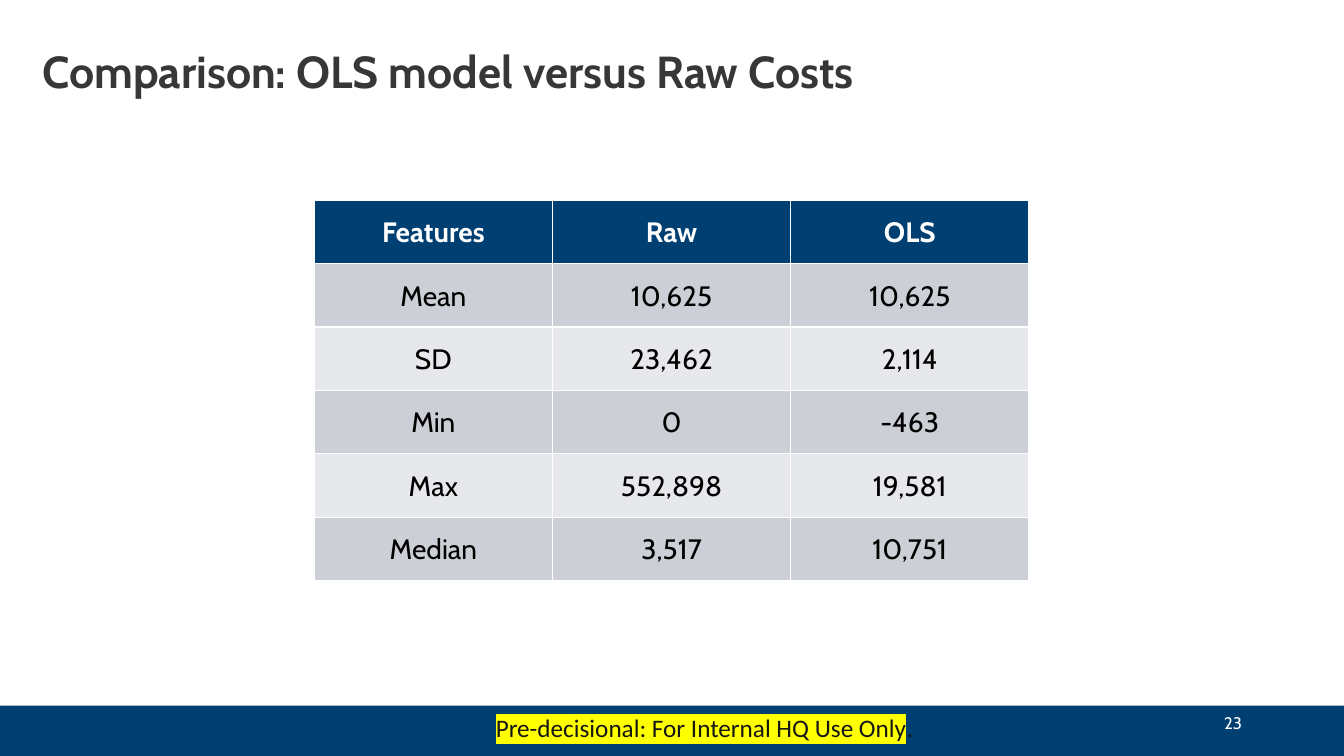
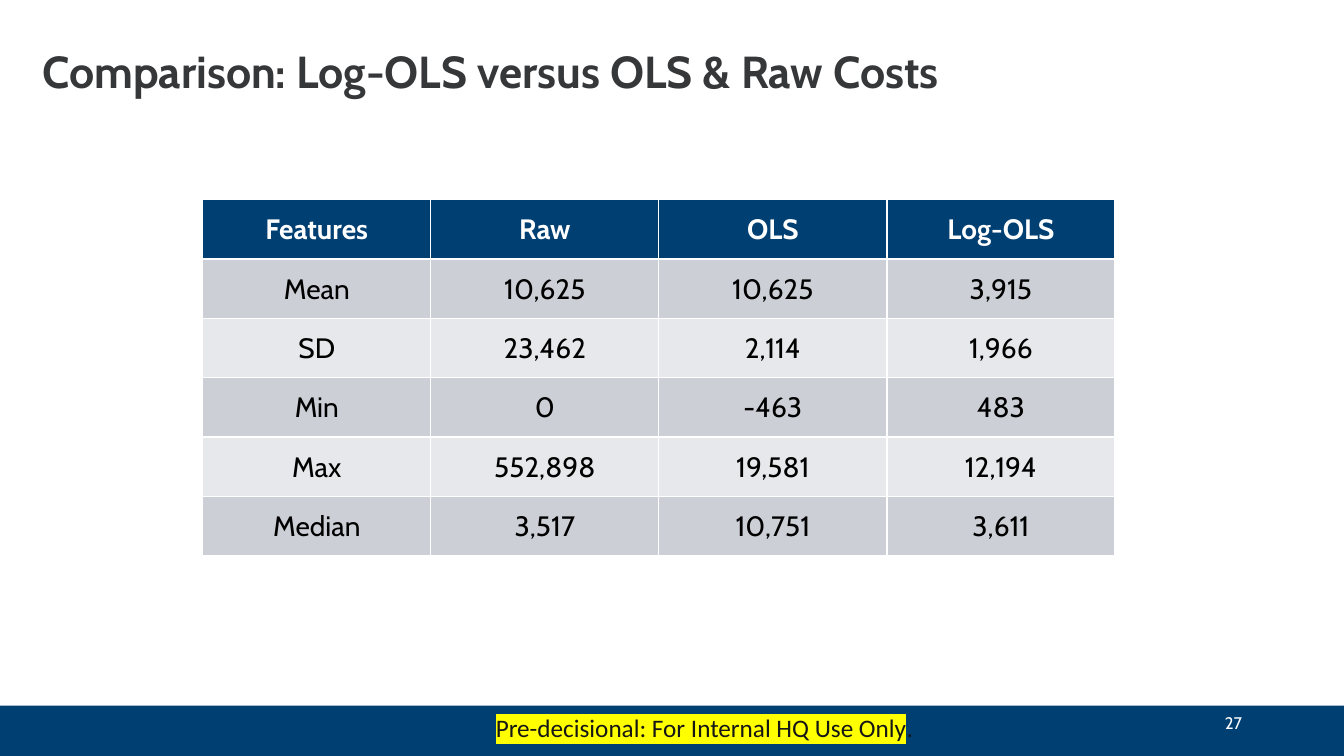
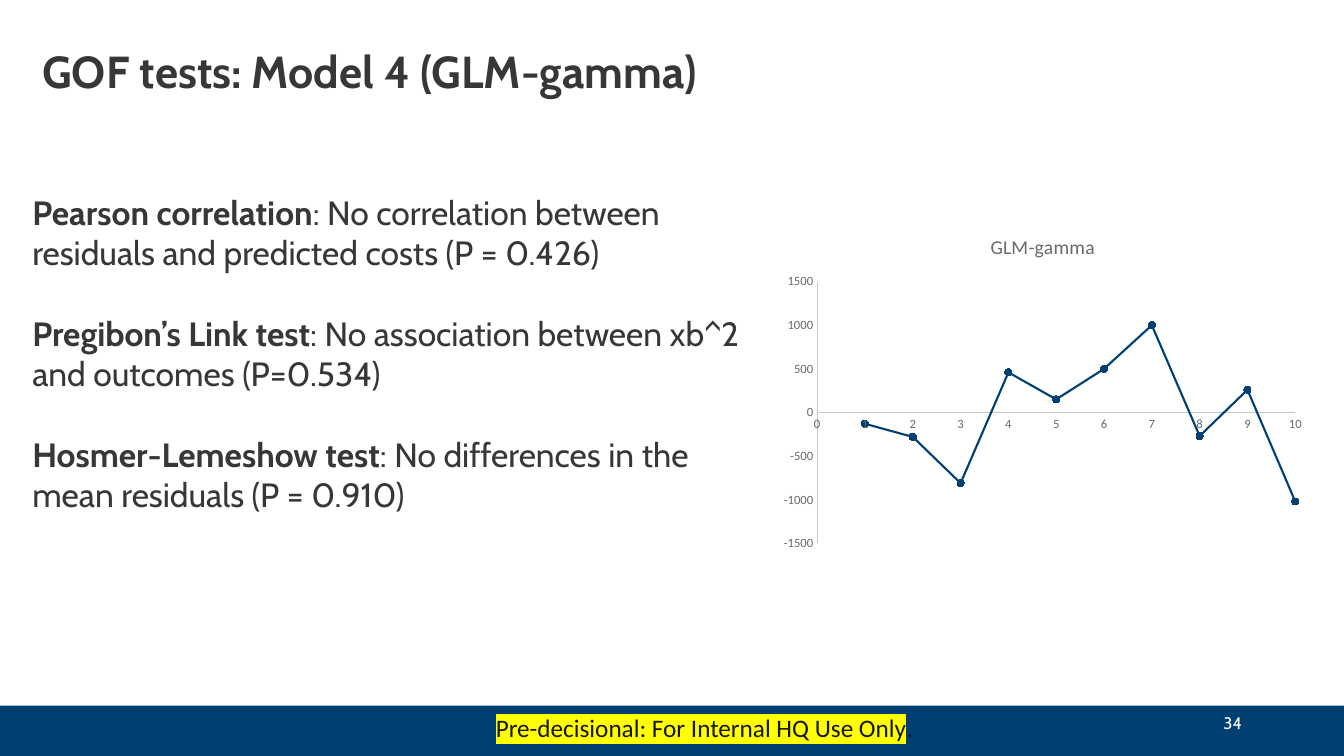
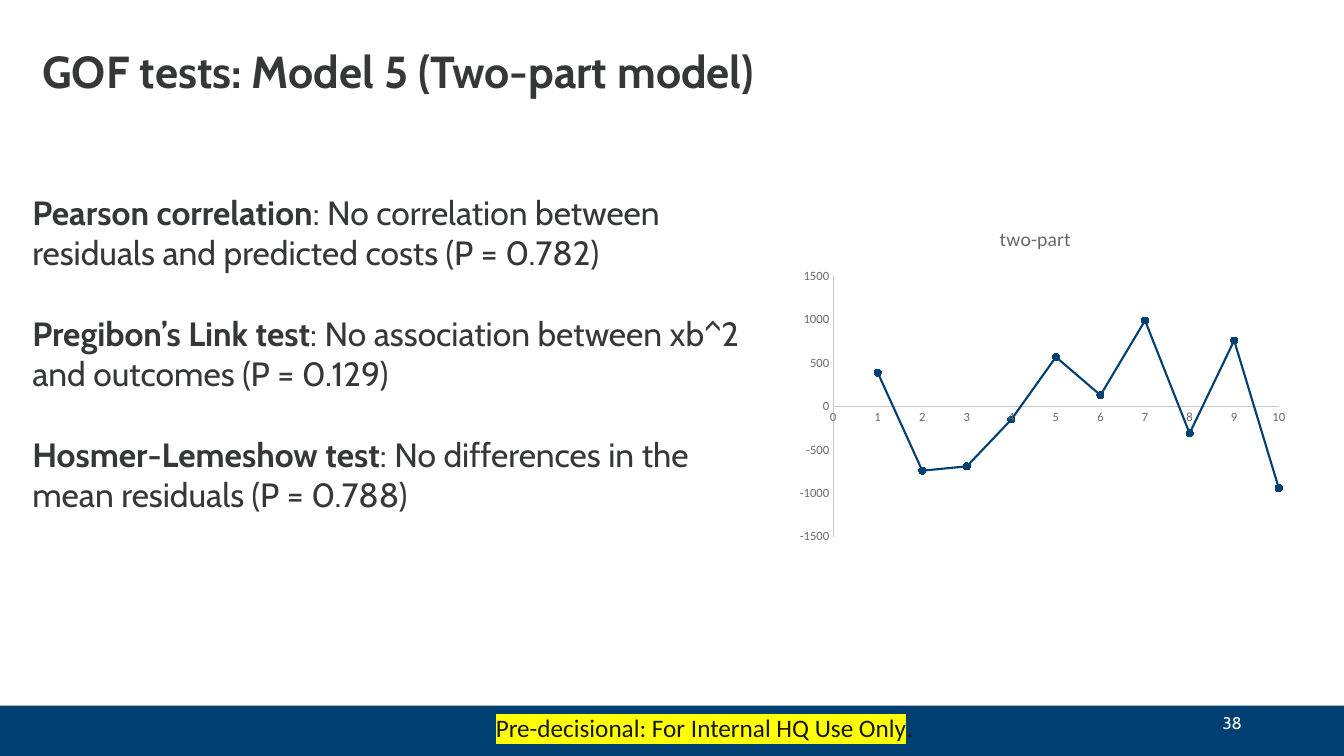
import pptx
import pptx.chart.data
import pptx.dml.color
import pptx.enum.chart
import pptx.enum.shapes
import pptx.enum.text
import pptx.oxml
import pptx.oxml.ns
import pptx.util
from lxml import etree

Cm = pptx.util.Cm
Pt = pptx.util.Pt
RGB = pptx.dml.color.RGBColor
qn = pptx.oxml.ns.qn
ALIGN = pptx.enum.text.PP_ALIGN
ANCHOR = pptx.enum.text.MSO_ANCHOR

NAVY = RGB(0x00, 0x3F, 0x72)
WHITE = RGB(0xFF, 0xFF, 0xFF)
BLACK = RGB(0x00, 0x00, 0x00)
SLATE = RGB(0x36, 0x37, 0x39)
INK = RGB(0x15, 0x16, 0x16)
GREY = RGB(0x65, 0x6A, 0x6A)
RULE = RGB(0xC3, 0xC6, 0xC6)
DARK = RGB(0xCC, 0xCF, 0xD5)
LIGHT = RGB(0xE7, 0xE8, 0xEB)
YELLOW = RGB(0xFF, 0xFF, 0x00)

WIDE, HIGH = 33.87, 19.05
BAND = (0, 17.78, WIDE, 1.27)
TITLE = (0.81, 0.81, 29.21, 2.11)
BODY = (0.56, 4.7, 18.6, 10.52)

STATS = [
    ("Features", "Raw", "OLS", "Log-OLS"),
    ("Mean", "10,625", "10,625", "3,915"),
    ("SD", "23,462", "2,114", "1,966"),
    ("Min", "0", "-463", "483"),
    ("Max", "552,898", "19,581", "12,194"),
    ("Median", "3,517", "10,751", "3,611"),
]


def lengths(box):
    return [Cm(side) for side in box]


def style(font, size, color, bold=False, face="Cabin"):
    font.size = Pt(size)
    font.bold = bold
    font.color.rgb = color
    font.name = face


def write(para, text, align=ALIGN.LEFT, **form):
    para.alignment = align
    run = para.add_run()
    run.text = text
    style(run.font, **form)


def place(shape, box, anchor):
    shape.left, shape.top, shape.width, shape.height = lengths(box)
    frame = shape.text_frame
    frame.word_wrap = True
    frame.auto_size = pptx.enum.text.MSO_AUTO_SIZE.NONE
    frame.vertical_anchor = anchor
    return frame.paragraphs[0]


def add_text(slide, box, anchor):
    shape = slide.shapes.add_textbox(*lengths(box))
    return shape, place(shape, box, anchor)


def add_band(slide, master):
    band = slide.shapes.add_shape(
        pptx.enum.shapes.MSO_SHAPE.RECTANGLE, *lengths(BAND))
    band.shadow.inherit = False
    band.fill.solid()
    band.fill.fore_color.rgb = NAVY
    band.line.fill.background()
    master.shapes.element.insert(2, band.element)


def add_foot(slide, number, box):
    left, top = box[:2]
    para = add_text(slide, (left + 23.93, top, 7.62, 0.89), ANCHOR.MIDDLE)[1]
    write(para, number, ALIGN.RIGHT, size=12, color=WHITE)
    note, para = add_text(
        slide, (left + 11.63, top + 0.05, 12.24, 1.02), ANCHOR.TOP)
    for text in ("Pre-decisional: For Internal HQ Use Only", "."):
        write(para, text, ALIGN.CENTER, size=18, color=INK, face="Calibri")
    mark = etree.Element(qn("a:highlight"))
    etree.SubElement(mark, qn("a:srgbClr"), val=str(YELLOW))
    note.element.find(".//" + qn("a:latin")).addprevious(mark)


def start(deck, layout, title, number):
    slide = deck.slides.add_slide(deck.slide_layouts[layout])
    para = place(slide.shapes.title, TITLE, ANCHOR.MIDDLE)
    para.line_spacing = 0.9
    write(para, title, size=32, color=SLATE, bold=True)
    add_foot(slide, number, BAND)
    return slide


def add_grid(slide, rows, box):
    table = slide.shapes.add_table(
        len(rows), len(rows[0]), *lengths(box)).table
    for y, row in enumerate(rows):
        head = y == 0
        for x, text in enumerate(row):
            cell = table.cell(y, x)
            cell.fill.solid()
            cell.fill.fore_color.rgb = NAVY if head else (LIGHT, DARK)[y % 2]
            cell.vertical_anchor = ANCHOR.MIDDLE
            cell.margin_left = cell.margin_right = cell.margin_top = Cm(0.03)
            cell.margin_bottom = 0
            write(cell.text_frame.paragraphs[0], text, ALIGN.CENTER, size=20,
                  color=WHITE if head else BLACK, bold=head)


def add_tests(slide, tests, box):
    body = slide.placeholders[1]
    para = place(body, box, ANCHOR.TOP)
    for index, (name, result) in enumerate(tests):
        if index:
            para = body.text_frame.add_paragraph()
        para.space_before = Pt(28.8 if index else 0)
        write(para, name, size=24, color=SLATE, bold=True)
        write(para, ": " + result, size=24, color=SLATE)
    for props in body.element.iter(qn("a:pPr")):
        props.set("marL", "0")
        props.set("indent", "0")
        etree.SubElement(props, qn("a:buNone"))


def set_axis(axis, low, high, step):
    axis.minimum_scale, axis.maximum_scale = low, high
    axis.major_unit = step
    axis.has_major_gridlines = False
    axis.major_tick_mark = axis.minor_tick_mark = (
        pptx.enum.chart.XL_TICK_MARK.NONE)
    axis.format.line.color.rgb = RULE
    axis.format.line.width = Pt(0.75)
    style(axis.tick_labels.font, 9, GREY, face="Calibri")


def set_plot(chart, frame):
    area = chart.element.find(".//" + qn("c:plotArea"))
    for old in area.findall(qn("c:layout")):
        area.remove(old)
    layout = etree.Element(qn("c:layout"))
    manual = etree.SubElement(layout, qn("c:manualLayout"))
    pairs = [("layoutTarget", "inner"), ("xMode", "edge"), ("yMode", "edge")]
    for key, value in pairs + list(zip("xywh", frame)):
        etree.SubElement(manual, qn("c:" + key), val=str(value))
    area.insert(0, layout)


def add_graph(slide, name, values, box, frame):
    data = pptx.chart.data.XyChartData()
    points = data.add_series(name)
    for x, value in enumerate(values, 1):
        points.add_data_point(x, value)
    chart = slide.shapes.add_chart(
        pptx.enum.chart.XL_CHART_TYPE.XY_SCATTER_LINES,
        *lengths(box), data).chart
    style(chart.font, 10, INK, face="Calibri")
    chart.has_legend = False
    chart.has_title = True
    write(chart.chart_title.text_frame.paragraphs[0], name, ALIGN.CENTER,
          size=14, color=GREY, face="Calibri")
    set_axis(chart.category_axis, 0, 10, 1)
    set_axis(chart.value_axis, -1500, 1500, 500)
    set_plot(chart, frame)
    plot = chart.plots[0]
    plot.vary_by_categories = False
    line = plot.series[0]
    line.smooth = False
    line.format.line.color.rgb = NAVY
    line.format.line.width = Pt(1.5)
    line.marker.style = pptx.enum.chart.XL_MARKER_STYLE.CIRCLE
    line.marker.size = 5
    line.marker.format.fill.solid()
    line.marker.format.fill.fore_color.rgb = NAVY
    line.marker.format.line.color.rgb = NAVY


def table_slide(deck, title, number, count, box):
    slide = start(deck, 5, title, number)
    add_grid(slide, [row[:count] for row in STATS], box)
    return slide


def test_slide(deck, title, number, scores, name, values, box, frame):
    slide = start(deck, 1, title, number)
    pearson, link, hosmer = scores
    add_tests(slide, [
        ("Pearson correlation",
         f"No correlation between residuals and predicted costs ({pearson})"),
        ("Pregibon’s Link test",
         f"No association between xb^2 and outcomes ({link})"),
        ("Hosmer-Lemeshow test",
         f"No differences in the mean residuals ({hosmer})"),
    ], BODY)
    add_graph(slide, name, values, box, frame)


def main():
    deck = pptx.Presentation()
    deck.slide_width, deck.slide_height = Cm(WIDE), Cm(HIGH)
    first = table_slide(deck, "Comparison: OLS model versus Raw Costs", "23",
                        3, (7.92, 5.05, 18.01, 9.58))
    add_band(first, deck.slide_master)
    table_slide(deck, "Comparison: Log-OLS versus OLS & Raw Costs", "27",
                4, (5.11, 5.03, 22.99, 8.97))
    test_slide(deck, "GOF tests: Model 4 (GLM-gamma)", "34",
               ("P = 0.426", "P=0.534", "P = 0.910"), "GLM-gamma",
               (-130, -280, -810, 460, 150, 500, 1000, -270, 260, -1020),
               (19.51, 5.49, 13.54, 8.46), (0.08, 0.19, 0.89, 0.78))
    test_slide(deck, "GOF tests: Model 5 (Two-part model)", "38",
               ("P = 0.782", "P = 0.129", "P = 0.788"), "two-part",
               (390, -740, -690, -150, 570, 130, 990, -310, 760, -940),
               (19.56, 5.28, 13.06, 8.43), (0.11, 0.2, 0.86, 0.78))
    deck.save("out.pptx")


if __name__ == "__main__":
    main()
